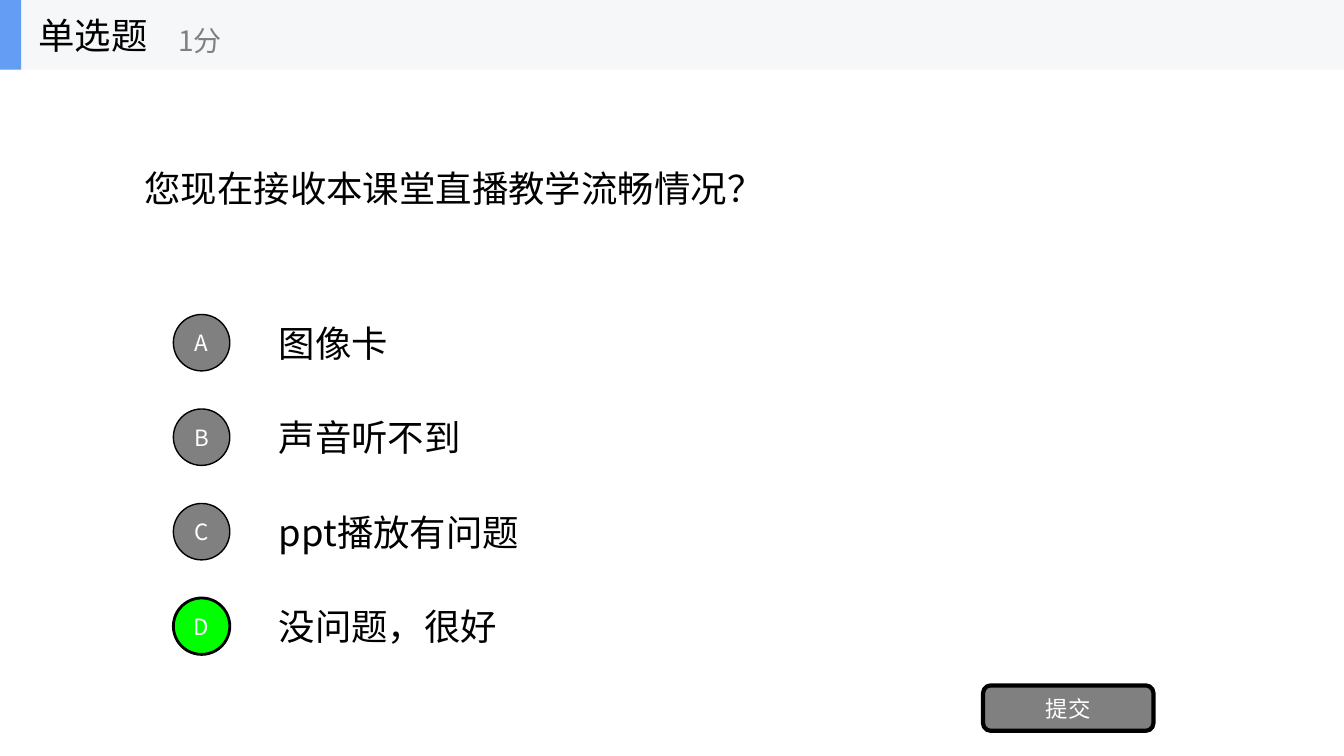
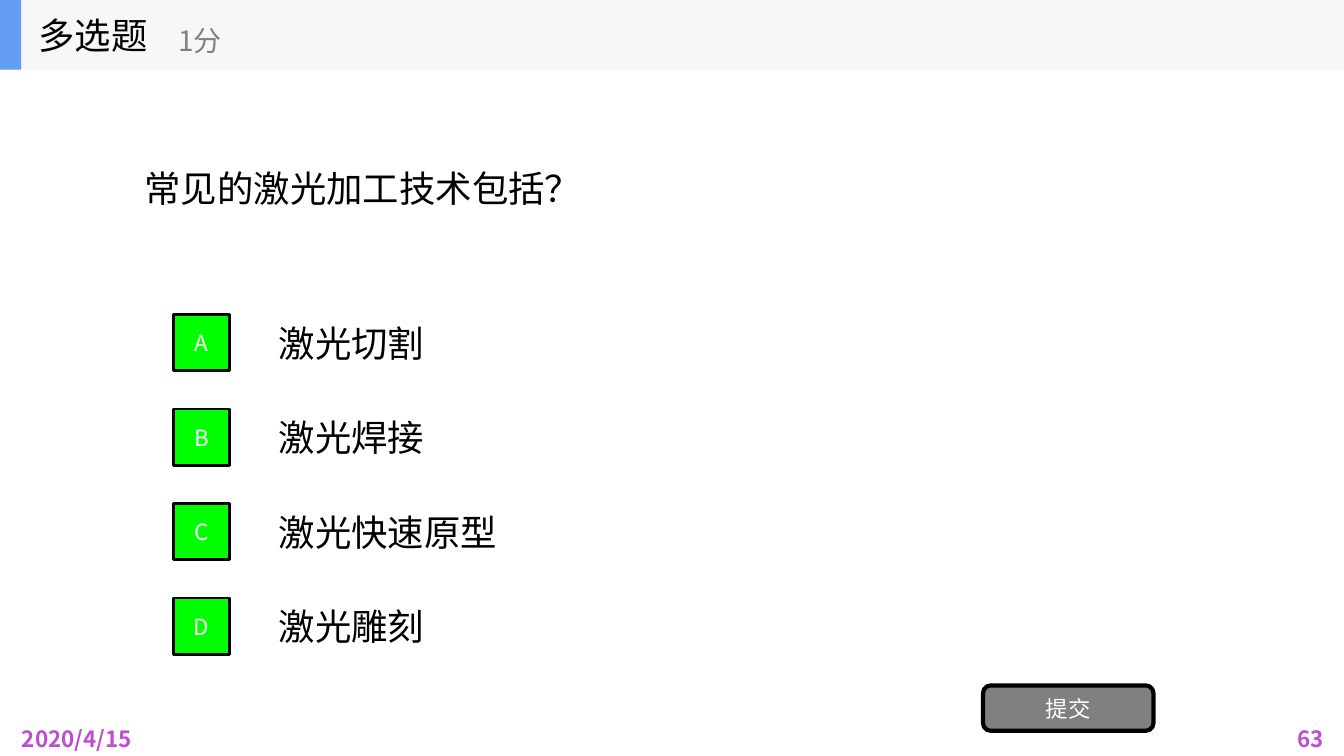
from dataclasses import dataclass

from lxml import etree
from pptx import Presentation
from pptx.dml.color import RGBColor
from pptx.enum.shapes import MSO_SHAPE
from pptx.enum.text import MSO_ANCHOR, MSO_AUTO_SIZE, PP_ALIGN
from pptx.oxml.ns import qn
from pptx.util import Inches, Pt

RECT, ROUNDED, OVAL = MSO_SHAPE.RECTANGLE, MSO_SHAPE.ROUNDED_RECTANGLE, MSO_SHAPE.OVAL
LEFT, CENTER, RIGHT = PP_ALIGN.LEFT, PP_ALIGN.CENTER, PP_ALIGN.RIGHT
MIDDLE, FIXED = MSO_ANCHOR.MIDDLE, MSO_AUTO_SIZE.NONE
TITLE_ONLY = 5


@dataclass(frozen=True)
class Theme:
    font: str = "Noto Sans CJK SC"
    ink: str = "000000"
    muted: str = "808080"
    inverse: str = "FFFFFF"
    correct: str = "00FF00"
    band: str = "F6F7F8"
    accent: str = "639EF4"
    footer: str = "BD4FCF"
    body_size: int = 26
    score_size: int = 20
    small_size: int = 16


@dataclass(frozen=True)
class Box:
    x: float
    y: float
    w: float
    h: float

    def share(self, x, y, w, h):
        """Return the box covering the given shares of this one."""
        return Box(self.x + x * self.w, self.y + y * self.h, w * self.w, h * self.h)

    def centered(self, w, h):
        return Box(self.x + (self.w - w) / 2, self.y + (self.h - h) / 2, w, h)

    def emu(self):
        return [Inches(v) for v in (self.x, self.y, self.w, self.h)]


THEME = Theme()
PAGE = Box(0, 0, 13.33, 7.5)
HEADER = Box(0, 0, PAGE.w, 0.69)
QUESTION = Box(0.1 * PAGE.w, HEADER.h, 0.8 * PAGE.w, 2.34)
OPTIONS = Box(0.1 * PAGE.w, 3.05, 0.8 * PAGE.w, PAGE.h / 2)
SUBMIT = Box(9.75, 6.8, 1.69, 0.45)
FOOTER = Box(0.12, 7.13, 13.11, 0.4)
OPTION_HEIGHT, MARKER_SIZE = 0.7, 0.56


def write(shape, text, size=THEME.body_size, color=THEME.ink, align=LEFT, bold=False):
    """Put formatted text into a shape."""
    frame = shape.text_frame
    frame.word_wrap = True
    frame.auto_size = FIXED
    frame.vertical_anchor = MIDDLE
    paragraph = frame.paragraphs[0]
    paragraph.alignment = align
    run = paragraph.add_run()
    run.text = text
    run.font.size = Pt(size)
    run.font.bold = bold
    run.font.color.rgb = RGBColor.from_string(color)
    run.font.name = THEME.font
    # Chinese text takes its typeface from the East Asian font
    latin = run.font._element.find(qn("a:latin"))
    latin.addnext(etree.Element(qn("a:ea"), typeface=THEME.font))


def label(slide, box, text, **style):
    write(slide.shapes.add_textbox(*box.emu()), text, **style)


def panel(slide, kind, box, fill, line_width=0):
    shape = slide.shapes.add_shape(kind, *box.emu())
    shape.shadow.inherit = False
    shape.fill.solid()
    shape.fill.fore_color.rgb = RGBColor.from_string(fill)
    if line_width:
        shape.line.color.rgb = RGBColor.from_string(THEME.ink)
        shape.line.width = Pt(line_width)
    else:
        shape.line.fill.background()
    return shape


def button(slide, kind, box, text, fill, line_width):
    shape = panel(slide, kind, box, fill, line_width)
    frame = shape.text_frame
    frame.margin_left = frame.margin_right = frame.margin_top = frame.margin_bottom = 0
    write(shape, text, size=THEME.small_size, color=THEME.inverse, align=CENTER)


def add_header(slide, box, kind_name, score):
    panel(slide, RECT, box, THEME.band)
    panel(slide, RECT, Box(box.x, box.y, 0.21, box.h), THEME.accent)
    title = slide.shapes.title
    title.left, title.top, title.width, title.height = Box(box.x + 0.28, box.y, 2.08, box.h).emu()
    write(title, kind_name)
    # Bring the title in front of the band
    title.element.getparent().append(title.element)
    label(slide, Box(box.x + 1.67, box.y + 0.12, 2.5, 0.56), score,
          size=THEME.score_size, color=THEME.muted)


def add_options(slide, box, options, correct, marker):
    pitch = 1 / len(options)
    for index, (letter, answer) in enumerate(zip("ABCDEFGH", options)):
        slot = box.share(0, index * pitch, 1, pitch)
        row = Box(slot.x, slot.y, slot.w, OPTION_HEIGHT)
        label(slide, row.share(1 / 8, 0, 7 / 8, 1), answer)
        # The marker sits in the first eighth of the row
        spot = row.share(0, 0, 1 / 8, 1).centered(MARKER_SIZE, MARKER_SIZE)
        fill, line_width = (THEME.correct, 2) if letter in correct else (THEME.muted, 1)
        button(slide, marker, spot, letter, fill, line_width)


def add_footer(slide, box, date, number):
    style = dict(size=THEME.small_size, color=THEME.footer, bold=True)
    label(slide, Box(box.x, box.y, 3, box.h), date, **style)
    label(slide, Box(box.x + box.w - 3, box.y, 3, box.h), number, align=RIGHT, **style)


def add_quiz(deck, kind_name, question, options, correct, marker, footer=None):
    slide = deck.slides.add_slide(deck.slide_layouts[TITLE_ONLY])
    add_header(slide, HEADER, kind_name, "1分")
    label(slide, QUESTION, question)
    add_options(slide, OPTIONS, options, correct, marker)
    button(slide, ROUNDED, SUBMIT, "提交", THEME.muted, 3)
    if footer:
        add_footer(slide, FOOTER, *footer)


def main():
    deck = Presentation()
    deck.slide_width, deck.slide_height = Inches(PAGE.w), Inches(PAGE.h)
    add_quiz(deck, "单选题", "您现在接收本课堂直播教学流畅情况？",
             ["图像卡", "声音听不到", "ppt播放有问题", "没问题，很好"], "D", OVAL)
    add_quiz(deck, "多选题", "常见的激光加工技术包括？",
             ["激光切割", "激光焊接", "激光快速原型", "激光雕刻"], "ABCD", RECT,
             footer=("2020/4/15", "63"))
    deck.save("out.pptx")


if __name__ == "__main__":
    main()
